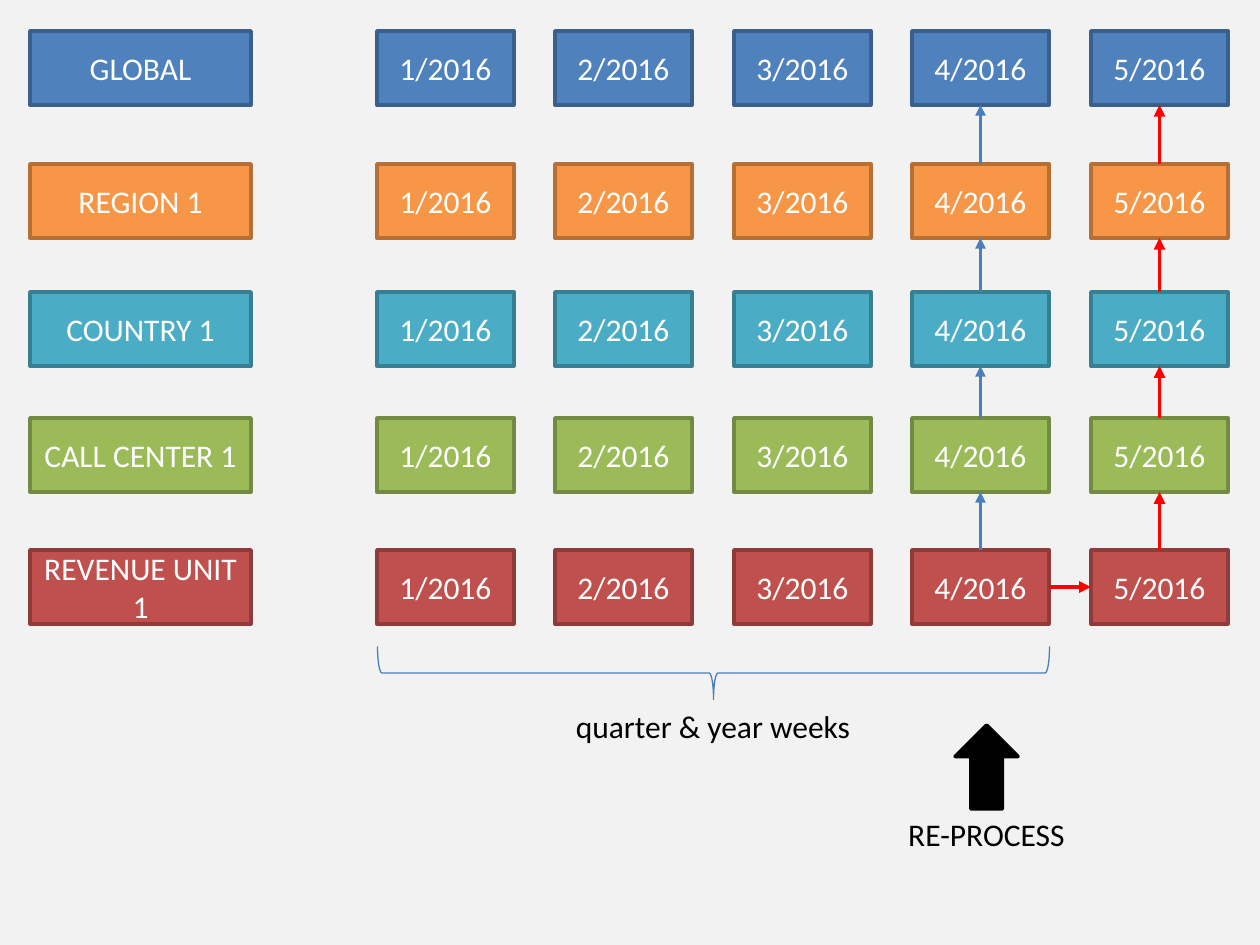
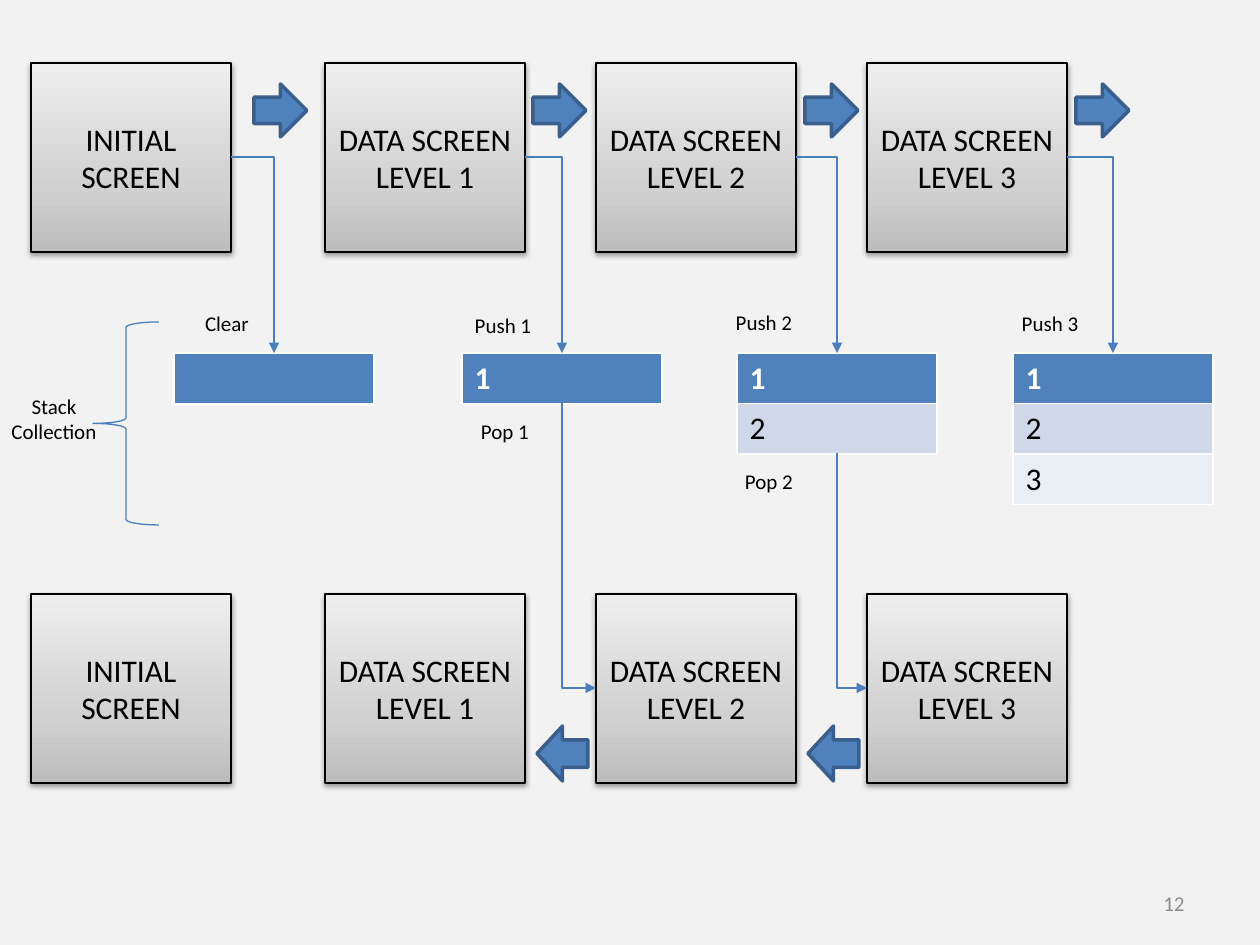
import pptx
import pptx.util
import pptx.dml.color
import pptx.enum.shapes
import pptx.enum.text
import pptx.oxml
import pptx.oxml.ns

PX_PER_INCH = 126
FONT = "Calibri"
SHAPE = pptx.enum.shapes.MSO_SHAPE
CONNECTOR = pptx.enum.shapes.MSO_CONNECTOR
ALIGN = pptx.enum.text.PP_ALIGN
TOP, LEFT, BOTTOM, RIGHT = range(4)  # connection sites of a rectangle

COLORS = {
    "background": "F2F2F2", "black": "000000", "white": "FFFFFF", "number": "8C8C8C",
    "line": "4B7EBC", "red": "FF0000",
    "blue": "4F81BD", "blue_edge": "3A5F8C",
    "orange": "F79646", "orange_edge": "B76F34",
    "teal": "4BACC6", "teal_edge": "377F92",
    "green": "9BBB59", "green_edge": "738A42",
    "brick": "C0504D", "brick_edge": "8E3B39",
    "stack_odd": "D0D8E8", "stack_even": "E9EDF4",
    "screen_low": "BDBDBD", "screen_mid": "D1D1D1", "screen_high": "EEEEEE",
}


# Shared helpers
def px(length):
    return pptx.util.Emu(round(length * 914400 / PX_PER_INCH))


def color(name):
    return pptx.dml.color.RGBColor.from_string(COLORS[name])


def add_xml(parent, xml):
    """Append a DrawingML element, given without its namespace declaration."""
    tag, rest = xml[:xml.index(" ")], xml[xml.index(" "):]
    element = pptx.oxml.parse_xml(f"{tag} {pptx.oxml.ns.nsdecls('a')}{rest}")
    parent.append(element)


def write(text_frame, text, size, font_color, align=ALIGN.CENTER, bold=False):
    paragraph = text_frame.paragraphs[0]
    paragraph.text = text
    paragraph.alignment = align
    font = paragraph.font
    font.name, font.size, font.bold = FONT, pptx.util.Pt(size), bold
    font.color.rgb = color(font_color)


def add_shape(slide, kind, box, fill=None, edge="line", width=2, rotation=0):
    shape = slide.shapes.add_shape(kind, *map(px, box))
    shape.shadow.inherit = False
    shape.rotation = rotation
    if fill:
        shape.fill.solid()
        shape.fill.fore_color.rgb = color(fill)
    else:
        shape.fill.background()
    shape.line.color.rgb = color(edge)
    shape.line.width = pptx.util.Pt(width)
    return shape


def add_label(slide, box, text, size, font_color="black", align=ALIGN.CENTER):
    label = slide.shapes.add_textbox(*map(px, box))
    label.text_frame.word_wrap = True
    label.text_frame.auto_size = pptx.enum.text.MSO_AUTO_SIZE.SHAPE_TO_FIT_TEXT
    write(label.text_frame, text, size, font_color, align)
    return label


def add_arrow_line(slide, kind, start, end, line_color, width, arrow="tailEnd"):
    connector = slide.shapes.add_connector(kind, *map(px, start + end))
    connector.line.color.rgb = color(line_color)
    connector.line.width = pptx.util.Pt(width)
    properties = connector._element.spPr
    add_xml(connector.line._get_or_add_ln(), f'<a:{arrow} type="triangle"/>')
    add_xml(properties, "<a:effectLst />")
    if kind == CONNECTOR.ELBOW:  # a single bend
        properties.find(pptx.oxml.ns.qn("a:prstGeom")).set("prst", "bentConnector2")
    return connector


def join(slide, start, start_site, end, end_site, line_color, width):
    connector = add_arrow_line(slide, CONNECTOR.STRAIGHT, (0, 0), (0, 0), line_color, width)
    connector.begin_connect(start, start_site)
    connector.end_connect(end, end_site)


def new_slide(presentation):
    slide = presentation.slides.add_slide(presentation.slide_layouts[6])
    slide.background.fill.solid()
    slide.background.fill.fore_color.rgb = color("background")
    return slide


# Slide 1: weekly periods by level
LEVELS = [  # name, top, colour
    ("GLOBAL", 31, "blue"),
    ("REGION 1", 164, "orange"),
    ("COUNTRY 1", 292, "teal"),
    ("CALL CENTER 1", 418, "green"),
    ("REVENUE UNIT 1", 550, "brick"),
]
WEEKS = [f"{week}/2016" for week in range(1, 6)]


def add_level_row(slide, left, top, name, fill):
    """Draw the level name and its weeks; return the week boxes."""
    cells = [(left, 221, name)]
    cells += [(left + 347 + i * 357 // 2, 137, week) for i, week in enumerate(WEEKS)]
    boxes = []
    for cell_left, width, text in cells:
        box = add_shape(slide, SHAPE.RECTANGLE, (cell_left, top, width, 74), fill, fill + "_edge")
        write(box.text_frame, text, 18, "white")
        boxes.append(box)
    return boxes[1:]


def add_roll_up(slide, rows):
    """Arrows from each level to the one above, in the last two weeks."""
    for week, line_color, width in ((3, "line", 2), (4, "red", 2.25)):
        for upper, lower in zip(rows, rows[1:]):
            join(slide, lower[week], TOP, upper[week], BOTTOM, line_color, width)
    join(slide, rows[-1][3], RIGHT, rows[-1][4], LEFT, "red", 2.25)


def add_quarter_brace(slide, left, top, width, height):
    middle_x, middle_y = left + width // 2, top + height // 2
    upright = (middle_x - height // 2, middle_y - width // 2, height, width)
    add_shape(slide, SHAPE.RIGHT_BRACE, upright, width=0.75, rotation=90)
    add_label(slide, (left, top + height + 1, width, 50), "quarter & year weeks", 18)


def add_reprocess(slide, left, top, width):
    arrow = (left + (width - 63) // 2, top, 63, 84)
    add_shape(slide, SHAPE.DOWN_ARROW, arrow, "black", "black", rotation=180)
    add_label(slide, (left, top + 84, width, 50), "RE-PROCESS", 18)


def build_periods_slide(presentation):
    slide = new_slide(presentation)
    rows = [add_level_row(slide, 30, top, name, fill) for name, top, fill in LEVELS]
    add_roll_up(slide, rows)
    add_quarter_brace(slide, 377, 647, 672, 53)
    add_reprocess(slide, 892, 725, 189)


# Slide 2: screens and the stack behind them
SCREENS = ["INITIAL SCREEN"] + [f"DATA SCREEN LEVEL {level}" for level in (1, 2, 3)]
SCREEN_LEFTS = [31, 325, 596, 867]
SCREEN_WIDTH, SCREEN_HEIGHT = 200, 189
FORWARD_TOP, BACK_TOP = 63, 594
STACK_TOP, STACK_ROW = 353, 50
STACKS = [  # left, values, action, action left, action top
    (174, [""], "Clear", 159, 304),
    (462, ["1"], "Push 1", 435, 306),
    (737, ["1", "2"], "Push 2", 696, 303),
    (1013, ["1", "2", "3"], "Push 3", 982, 304),
]


def add_screen(slide, left, top, text):
    box = (left, top, SCREEN_WIDTH, SCREEN_HEIGHT)
    screen = add_shape(slide, SHAPE.RECTANGLE, box, edge="black", width=0.75)
    write(screen.text_frame, text, 18, "black")
    # Grey gradient, dark at the bottom
    screen.fill.gradient()
    screen.fill.gradient_angle = 90
    stops = screen._element.spPr.find(".//" + pptx.oxml.ns.qn("a:gsLst"))
    for stop in list(stops):
        stops.remove(stop)
    for position, name in ((0, "screen_low"), (35, "screen_mid"), (100, "screen_high")):
        add_xml(stops, f'<a:gs pos="{position * 1000}"><a:srgbClr val="{COLORS[name]}"/></a:gs>')
    # Soft shadow below
    effects = screen._element.spPr.find(pptx.oxml.ns.qn("a:effectLst"))
    add_xml(effects, '<a:outerShdw blurRad="40000" dist="20000" dir="5400000" rotWithShape="0">'
            f'<a:srgbClr val="{COLORS["black"]}"><a:alpha val="38000"/></a:srgbClr></a:outerShdw>')


def add_screen_row(slide, top):
    for left, text in zip(SCREEN_LEFTS, SCREENS):
        add_screen(slide, left, top, text)


def add_stack(slide, left, top, values):
    size = (SCREEN_WIDTH, STACK_ROW * len(values))
    frame = slide.shapes.add_table(len(values), 1, *map(px, (left, top) + size))
    fills = ("blue", "stack_odd", "stack_even")
    for row, (value, fill) in enumerate(zip(values, fills)):
        cell = frame.table.cell(row, 0)
        cell.fill.solid()
        cell.fill.fore_color.rgb = color(fill)
        if value:
            write(cell.text_frame, value, 18, "black" if row else "white", ALIGN.LEFT, row == 0)


def add_pushes(slide):
    """Each forward screen changes the stack below it."""
    for screen_left, (left, values, action, action_left, action_top) in zip(SCREEN_LEFTS, STACKS):
        add_stack(slide, left, STACK_TOP, values)
        start = (screen_left + SCREEN_WIDTH, FORWARD_TOP + SCREEN_HEIGHT // 2)
        end = (left + SCREEN_WIDTH // 2, STACK_TOP)
        add_arrow_line(slide, CONNECTOR.ELBOW, start, end, "line", 0.75)
        add_label(slide, (action_left, action_top, 136, 38), action, 12)


def add_pops(slide):
    """Stacks 1 and 2 lead back from the screen at their right."""
    for level, label_left in ((1, 437), (2, 701)):
        left, values = STACKS[level][:2]
        bottom = STACK_TOP + STACK_ROW * len(values)
        start = (SCREEN_LEFTS[level + 1], BACK_TOP + SCREEN_HEIGHT // 2)
        end = (left + SCREEN_WIDTH // 2, bottom)
        add_arrow_line(slide, CONNECTOR.ELBOW, start, end, "line", 0.75, "headEnd")
        add_label(slide, (label_left, bottom + 9, 136, 38), f"Pop {level}", 12)


def add_step_arrows(slide, lefts, top, size, rotation=0):
    for left in lefts:
        add_shape(slide, SHAPE.RIGHT_ARROW, (left, top) + size, "blue", "blue_edge", rotation=rotation)


def add_stack_brace(slide, left, top, width, height):
    add_shape(slide, SHAPE.LEFT_BRACE, (left, top, width, height), width=0.75)
    add_label(slide, (left - 107, top + 65, 136, 63), "Stack Collection", 12)


def build_screens_slide(presentation):
    slide = new_slide(presentation)
    add_screen_row(slide, FORWARD_TOP)
    add_pushes(slide)
    add_step_arrows(slide, (254, 533, 805, 1076), FORWARD_TOP + 21, (53, 53))
    add_screen_row(slide, BACK_TOP)
    add_pops(slide)
    add_step_arrows(slide, (537, 808), BACK_TOP + 132, (51, 55), rotation=180)
    add_stack_brace(slide, 93, 322, 66, 203)
    # Slide number
    add_label(slide, (903, 884, 294, 38), "12", 12, "number", ALIGN.RIGHT)


def main():
    presentation = pptx.Presentation()
    presentation.slide_width = px(1260)
    presentation.slide_height = px(945)
    build_periods_slide(presentation)
    build_screens_slide(presentation)
    presentation.save("out.pptx")


if __name__ == "__main__":
    main()
